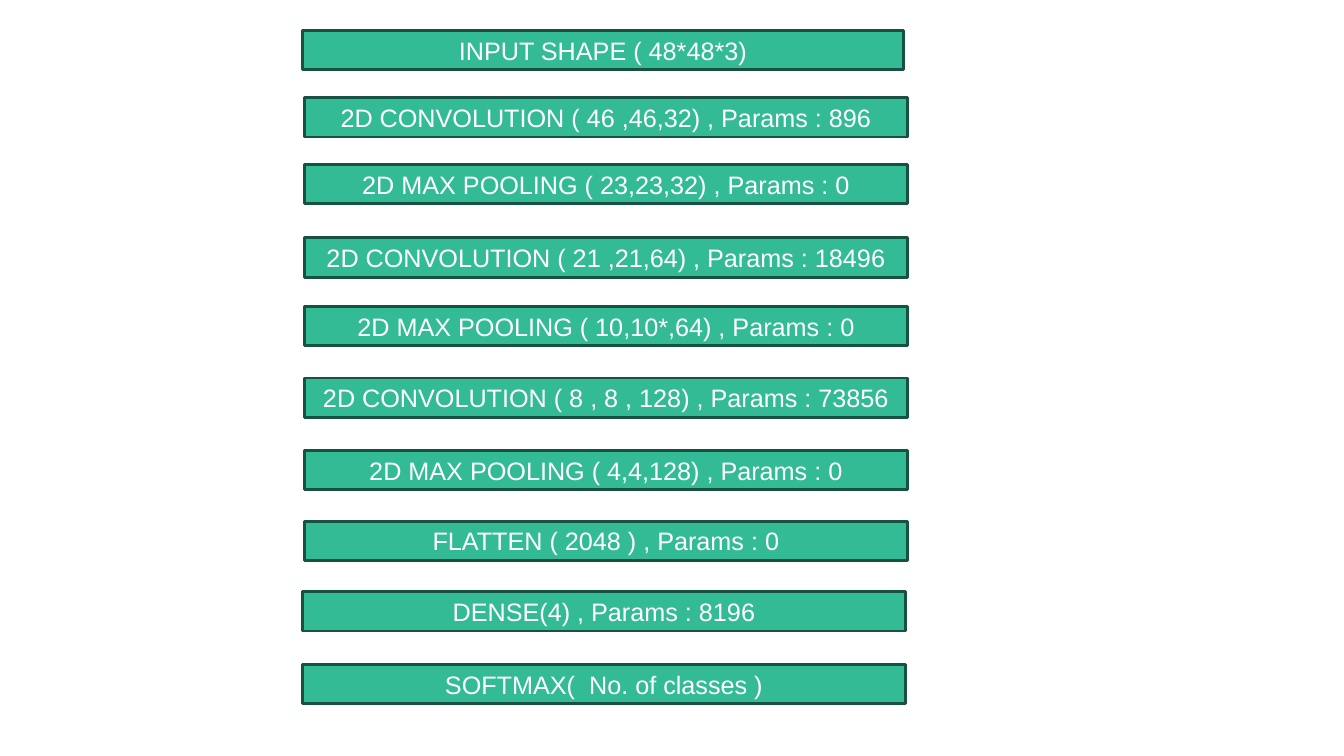
"""Draw the layers of a convolutional network as a stack of bars."""
from dataclasses import dataclass

from pptx import Presentation
from pptx.dml.color import RGBColor
from pptx.enum.shapes import MSO_SHAPE
from pptx.enum.text import MSO_ANCHOR, PP_ALIGN
from pptx.slide import Slide
from pptx.util import Emu, Pt

SCALE = 9144
HEIGHT = 39
COLORS = {"fill": "33BB95", "line": "165141", "text": "FFFFFF"}


@dataclass
class Layer:
    text: str
    top: int
    left: int = 302
    width: int = 598


LAYERS = [
    Layer("INPUT SHAPE ( 48*48*3)", 30, 300, 596),
    Layer("2D CONVOLUTION ( 46 ,46,32) , Params : 896", 97),
    Layer("2D MAX POOLING ( 23,23,32) , Params : 0", 163),
    Layer("2D CONVOLUTION ( 21 ,21,64) , Params : 18496", 236),
    Layer("2D MAX POOLING ( 10,10*,64) , Params : 0", 304),
    Layer("2D CONVOLUTION ( 8 , 8 , 128) , Params : 73856", 375),
    Layer("2D MAX POOLING ( 4,4,128) , Params : 0", 447),
    Layer("FLATTEN ( 2048 ) , Params : 0", 517),
    Layer("DENSE(4) , Params : 8196", 587, 300),
    Layer("SOFTMAX(  No. of classes )", 659, 300),
]


def px(count: int) -> Emu:
    return Emu(count * SCALE)


def color(name: str) -> RGBColor:
    return RGBColor.from_string(COLORS[name])


def draw(slide: Slide, layer: Layer) -> None:
    bar = slide.shapes.add_shape(
        MSO_SHAPE.RECTANGLE,
        px(layer.left), px(layer.top), px(layer.width), px(HEIGHT),
    )
    bar.shadow.inherit = False
    bar.fill.solid()
    bar.fill.fore_color.rgb = color("fill")
    bar.line.color.rgb = color("line")
    bar.line.width = Pt(2)
    frame = bar.text_frame
    frame.word_wrap = True
    frame.vertical_anchor = MSO_ANCHOR.MIDDLE
    para = frame.paragraphs[0]
    para.text = layer.text
    para.alignment = PP_ALIGN.CENTER
    para.font.name = "Arial"
    para.font.size = Pt(18)
    para.font.color.rgb = color("text")


def main() -> None:
    deck = Presentation()
    deck.slide_width, deck.slide_height = px(1333), px(750)
    slide = deck.slides.add_slide(deck.slide_layouts[6])
    for layer in LAYERS:
        draw(slide, layer)
    deck.save("out.pptx")


if __name__ == "__main__":
    main()
